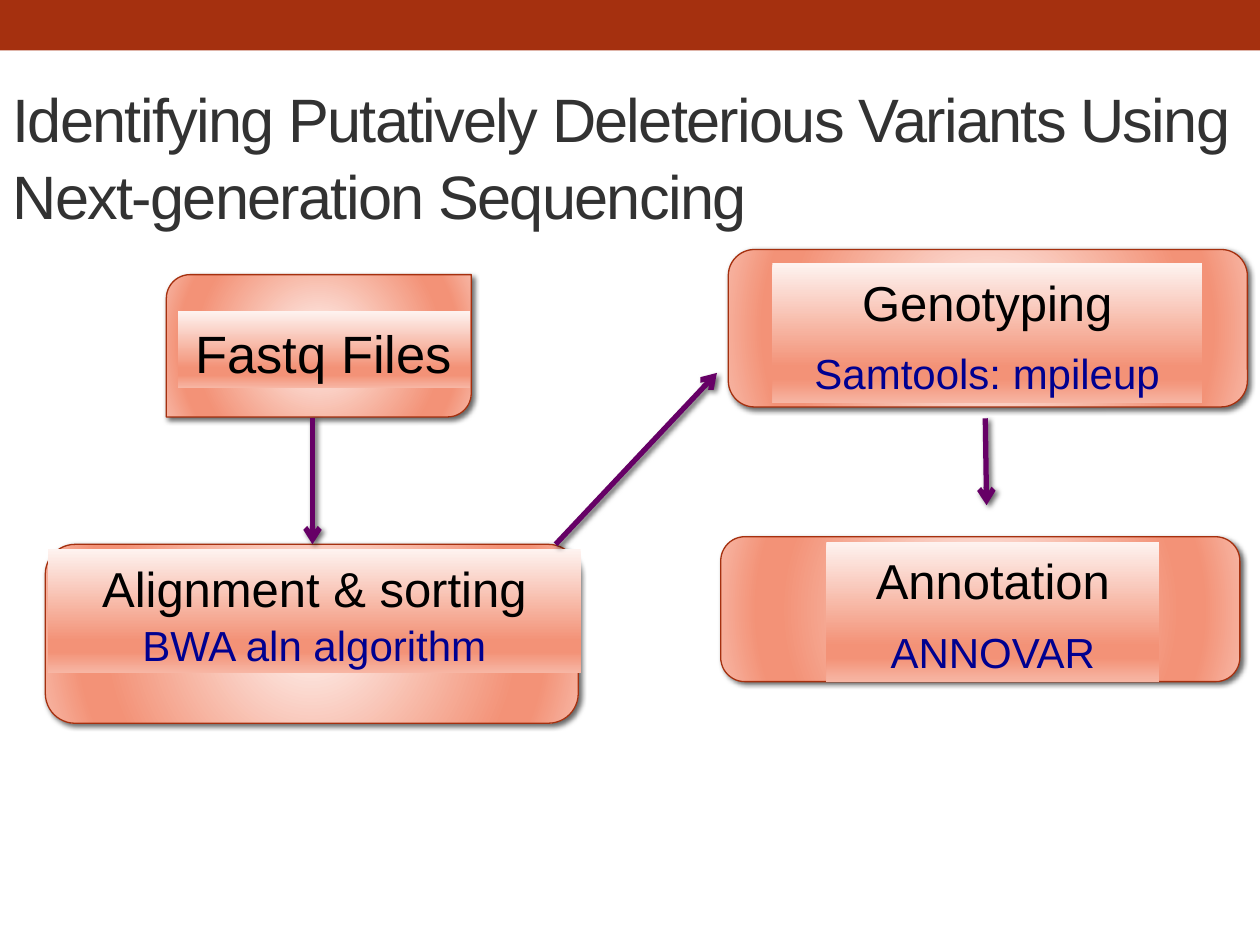
from dataclasses import dataclass

from lxml.etree import SubElement
from pptx import Presentation
from pptx.dml.color import RGBColor
from pptx.enum.shapes import MSO_CONNECTOR, MSO_SHAPE
from pptx.enum.text import MSO_ANCHOR, PP_ALIGN
from pptx.oxml import parse_xml
from pptx.oxml.ns import nsdecls, qn
from pptx.util import Inches, Pt


@dataclass(frozen=True)
class Theme:
    font: str = "Arial"
    brick: str = "A5300F"
    title: str = "323232"
    ink: str = "000000"
    tool: str = "000090"
    arrow: str = "660066"
    gradient: tuple = ((0, "FEF3F0"), (74, "F39277"), (83, "F39277"), (100, "F7B6A4"))
    title_size: int = 35
    start_size: int = 30
    step_size: int = 28
    tool_size: int = 24
    line_spacing: float = 1.05


THEME = Theme()
CELL = Inches(0.1)  # the page is a grid of 100 columns by 75 rows

# Frame shape, frame area, label area, lines of (text, size, colour), space before the tool
STEPS = [
    (MSO_SHAPE.ROUNDED_RECTANGLE, (3.6, 43.2, 42.3, 14.2), (3.8, 43.6, 42.3, 9.8),
     [("Alignment & sorting", THEME.step_size, THEME.ink),
      ("BWA aln algorithm", THEME.tool_size, THEME.tool)], 0),
    (MSO_SHAPE.ROUNDED_RECTANGLE, (57.8, 19.8, 41.2, 12.5), (61.3, 20.9, 34.1, 11.1),
     [("Genotyping", THEME.step_size, THEME.ink),
      ("Samtools: mpileup", THEME.tool_size, THEME.tool)], 8),
    (MSO_SHAPE.ROUNDED_RECTANGLE, (57.2, 42.6, 41.2, 11.5), (65.6, 43, 26.4, 11.1),
     [("Annotation", THEME.step_size, THEME.ink),
      ("ANNOVAR", THEME.tool_size, THEME.tool)], 8),
    (MSO_SHAPE.ROUND_2_DIAG_RECTANGLE, (13.2, 21.8, 24.2, 11.3), (14.1, 24.7, 23.2, 6.1),
     [("Fastq Files", THEME.start_size, THEME.ink)], 0),
]

# Start column and row, end column and row
ARROWS = [
    (44.1, 43.2, 56.9, 29.6),
    (78.2, 33.2, 78.3, 40.1),
    (24.8, 33.2, 24.8, 43.2),
]


def grid(*cells):
    return [round(cell * CELL) for cell in cells]


def apply(target, **values):
    for name, value in values.items():
        setattr(target, name, value)


def style_font(font, size, color):
    apply(font, name=THEME.font, size=Pt(size))
    font.color.rgb = RGBColor.from_string(color)


def fill_gradient(shape, radial):
    """Fill with the theme gradient, from the centre out or from top to bottom."""
    stops = "".join(
        f'<a:gs pos="{share * 1000}"><a:srgbClr val="{color}"/></a:gs>'
        for share, color in THEME.gradient)
    direction = (
        '<a:path path="circle"><a:fillToRect l="50000" t="50000" r="50000" b="50000"/></a:path>'
        if radial else '<a:lin ang="5400000" scaled="0"/>')
    fill = parse_xml(f'<a:gradFill {nsdecls("a")} rotWithShape="1">'
                     f'<a:gsLst>{stops}</a:gsLst>{direction}</a:gradFill>')
    shape._element.spPr.find(qn("a:prstGeom")).addnext(fill)


def add_shadow(shape):
    """Call after the line is set, as effects follow it."""
    shape._element.spPr.append(parse_xml(
        f'<a:effectLst {nsdecls("a")}>'
        '<a:outerShdw blurRad="38100" dist="25400" dir="2700000" rotWithShape="0">'
        '<a:srgbClr val="000000"><a:alpha val="60000"/></a:srgbClr>'
        '</a:outerShdw></a:effectLst>'))


def add_bar(page):
    bar = page.shapes.add_shape(MSO_SHAPE.RECTANGLE, *grid(0, 0, 100, 4))
    bar.shadow.inherit = False
    bar.fill.solid()
    bar.fill.fore_color.rgb = RGBColor.from_string(THEME.brick)
    bar.line.fill.background()


def set_title(page, text):
    title = page.shapes.title
    left, top, width, height = grid(0, 5, 100, 14.6)
    apply(title, left=left, top=top, width=width, height=height)
    frame = title.text_frame
    apply(frame, text=text, word_wrap=True, vertical_anchor=MSO_ANCHOR.MIDDLE)
    para = frame.paragraphs[0]
    apply(para, alignment=PP_ALIGN.LEFT, line_spacing=THEME.line_spacing)
    span = para.runs[0]
    style_font(span.font, THEME.title_size, THEME.title)
    span.font._element.set("spc", "-100")  # tighten letters by one point


def add_label(group, area, lines, gap, wrap):
    label = group.shapes.add_shape(MSO_SHAPE.RECTANGLE, *grid(*area))
    label.shadow.inherit = False
    fill_gradient(label, radial=False)
    label.line.fill.background()
    frame = label.text_frame
    apply(frame, word_wrap=wrap, vertical_anchor=MSO_ANCHOR.TOP)
    for index, (text, size, color) in enumerate(lines):
        para = frame.add_paragraph() if index else frame.paragraphs[0]
        apply(para, alignment=PP_ALIGN.CENTER, line_spacing=THEME.line_spacing)
        if index:
            para.space_before = Pt(gap)
        span = para.add_run()
        span.text = text
        style_font(span.font, size, color)


def add_step(page, kind, area, label_area, lines, gap):
    group = page.shapes.add_group_shape()
    frame = group.shapes.add_shape(kind, *grid(*area))
    fill_gradient(frame, radial=True)
    frame.line.color.rgb = RGBColor.from_string(THEME.brick)
    frame.line.width = Pt(0.75)
    add_shadow(frame)
    add_label(group, label_area, lines, gap, wrap=len(lines) > 1)


def add_arrow(page, *ends):
    arrow = page.shapes.add_connector(MSO_CONNECTOR.STRAIGHT, *grid(*ends))
    arrow.line.color.rgb = RGBColor.from_string(THEME.arrow)
    arrow.line.width = Pt(3)
    SubElement(arrow.line._get_or_add_ln(), qn("a:tailEnd"), type="arrow")
    add_shadow(arrow)


def main():
    deck = Presentation()
    apply(deck, slide_width=100 * CELL, slide_height=75 * CELL)
    page = deck.slides.add_slide(deck.slide_layouts[5])  # title only
    add_bar(page)
    set_title(page, "Identifying Putatively Deleterious Variants Using "
                    "Next-generation Sequencing")
    for step in STEPS:
        add_step(page, *step)
    for ends in ARROWS:
        add_arrow(page, *ends)
    deck.save("out.pptx")


if __name__ == "__main__":
    main()
